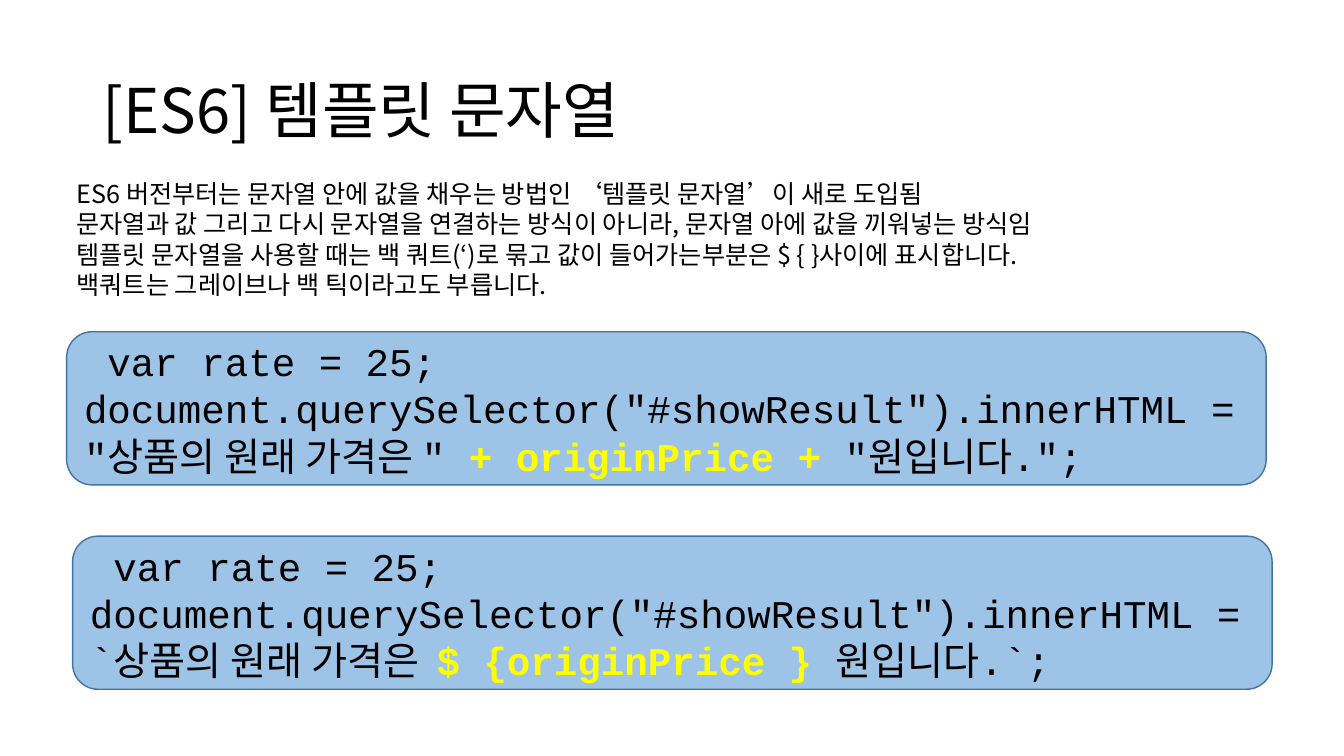
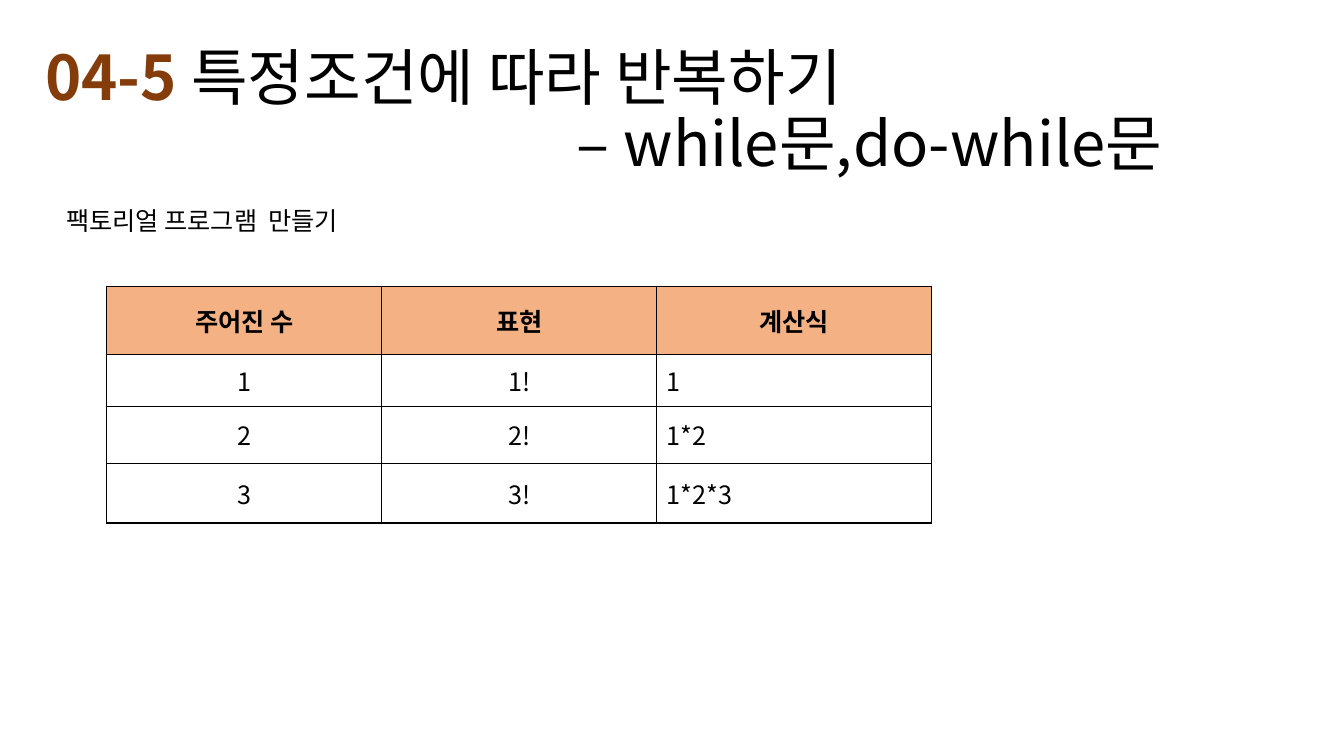
from lxml import etree
from pptx import Presentation
from pptx.dml.color import RGBColor
from pptx.enum.shapes import MSO_SHAPE
from pptx.enum.text import MSO_ANCHOR, PP_ALIGN
from pptx.oxml.ns import qn
from pptx.util import Cm, Pt

ROUND = MSO_SHAPE.ROUNDED_RECTANGLE
MIDDLE, TOP = MSO_ANCHOR.MIDDLE, MSO_ANCHOR.TOP
LEFT, CENTER = PP_ALIGN.LEFT, PP_ALIGN.CENTER

# Shared look
SANS, MONO = "Noto Sans CJK KR", "Courier New"
BLACK, WHITE, BROWN, YELLOW = "000000", "FFFFFF", "843C0B", "FFFF00"
BLUE, EDGE, PEACH = "9DC3E6", "43739E", "F4B183"
HEAD = dict(name=SANS, size=Pt(44), bold=False)
BODY = dict(name=SANS, size=Pt(18), bold=False)
CODE = dict(name=MONO, size=Pt(28), bold=False)
STRONG = dict(bold=True)

# Content: a text is a list of paragraphs, a paragraph a list of
# (words, colour, extra format)
def plain(*lines):
    return [[(line, BLACK, {})] for line in lines]


def sample(start, value, end):
    query = 'document.querySelector("#showResult").innerHTML = '
    return plain(" var rate = 25;") + [[
        (query + start, BLACK, {}),
        (value, YELLOW, STRONG),
        (end, BLACK, {}),
    ]]


TITLE1 = plain("[ES6] 템플릿 문자열")
NOTES = plain(
    "ES6 버전부터는 문자열 안에 값을 채우는 방법인 ‘템플릿 문자열’이 새로 도입됨",
    "문자열과 값 그리고 다시 문자열을 연결하는 방식이 아니라, 문자열 아에 값을 끼워넣는 방식임",
    "템플릿 문자열을 사용할 때는 백 쿼트(‘)로 묶고 값이 들어가는부분은 $ { }사이에 표시합니다.",
    "백쿼트는 그레이브나 백 틱이라고도 부릅니다.",
)
CODES = [
    (1.68, 8.36, sample('"상품의 원래 가격은 " ', "+ originPrice + ", '"원입니다.";')),
    (1.83, 13.51, sample("`상품의 원래 가격은  ", "$ {originPrice } ", "원입니다.`;")),
]
TITLE2 = [
    [("04-5 ", BROWN, STRONG), ("특정조건에 따라 반복하기", BLACK, {})],
    [("– while문,do-while문", BLACK, {})],
]
TOPIC = plain("팩토리얼 프로그램  만들기")
ROWS = [
    ("주어진 수", "표현", "계산식"),
    ("1", "1!", "1"),
    ("2", "2!", "1*2"),
    ("3", "3!", "1*2*3"),
]
TALL = [1.73, 1.3, 1.43, 1.51]
WIDE = 6.93


def rgb(color):
    return RGBColor.from_string(color)


def write(frame, text, form, anchor=TOP, align=LEFT, space=1.0):
    frame.word_wrap = True
    frame.vertical_anchor = anchor
    for i, parts in enumerate(text):
        para = frame.add_paragraph() if i else frame.paragraphs[0]
        para.alignment = align
        para.line_spacing = space
        for words, color, extra in parts:
            run = para.add_run()
            run.text = words
            for key, value in {**form, **extra}.items():
                setattr(run.font, key, value)
            run.font.color.rgb = rgb(color)
            east = etree.SubElement(run.font._element, qn("a:ea"))
            east.set("typeface", SANS)


def box(slide, place, text, form, **look):
    shape = slide.shapes.add_textbox(*map(Cm, place))
    write(shape.text_frame, text, form, **look)
    return shape


def title(slide, left, width, text):
    place = (left, 1.02, width, 3.68)
    return box(slide, place, text, HEAD, anchor=MIDDLE, space=0.9)


def panel(slide, left, top, text):
    shape = slide.shapes.add_shape(ROUND, *map(Cm, (left, top, 30.23, 3.86)))
    shape.shadow.inherit = False
    shape.fill.solid()
    shape.fill.fore_color.rgb = rgb(BLUE)
    shape.line.color.rgb = rgb(EDGE)
    shape.line.width = Pt(1)
    write(shape.text_frame, text, CODE, anchor=MIDDLE)


def border(cell):
    props = cell._tc.get_or_add_tcPr()
    for side in ("lnL", "lnR", "lnT", "lnB"):
        line = etree.SubElement(props, qn("a:" + side), w=str(Pt(1)))
        fill = etree.SubElement(line, qn("a:solidFill"))
        etree.SubElement(fill, qn("a:srgbClr"), val=BLACK)


def grid(slide, left, top):
    count = len(ROWS[0])
    size = (left, top, WIDE * count, sum(TALL))
    table = slide.shapes.add_table(len(ROWS), count, *map(Cm, size)).table
    for col in table.columns:
        col.width = Cm(WIDE)
    for r, row in enumerate(ROWS):
        table.rows[r].height = Cm(TALL[r])
        for c, words in enumerate(row):
            cell = table.cell(r, c)
            border(cell)
            cell.fill.solid()
            cell.fill.fore_color.rgb = rgb(WHITE if r else PEACH)
            cell.vertical_anchor = MIDDLE
            form = BODY if r else {**BODY, **STRONG}
            align = LEFT if r and c == count - 1 else CENTER
            write(cell.text_frame, plain(words), form, MIDDLE, align)


def main():
    deck = Presentation()
    deck.slide_width, deck.slide_height = Cm(33.87), Cm(19.05)
    blank = deck.slide_layouts[6]

    # Template strings
    slide = deck.slides.add_slide(blank)
    title(slide, 2.34, 29.21, TITLE1)
    box(slide, (1.68, 4.37, 30.68, 3.33), NOTES, BODY)
    for left, top, text in CODES:
        panel(slide, left, top, text)

    # Loops and factorials
    slide = deck.slides.add_slide(blank)
    head = title(slide, 0.89, 32.56, TITLE2)
    second = head.text_frame.paragraphs[1]
    second._p.get_or_add_pPr().set("marL", str(Cm(13.4)))
    box(slide, (1.42, 5.05, 22.56, 1.02), TOPIC, BODY)
    grid(slide, 2.69, 7.21)

    deck.save("out.pptx")


if __name__ == "__main__":
    main()
